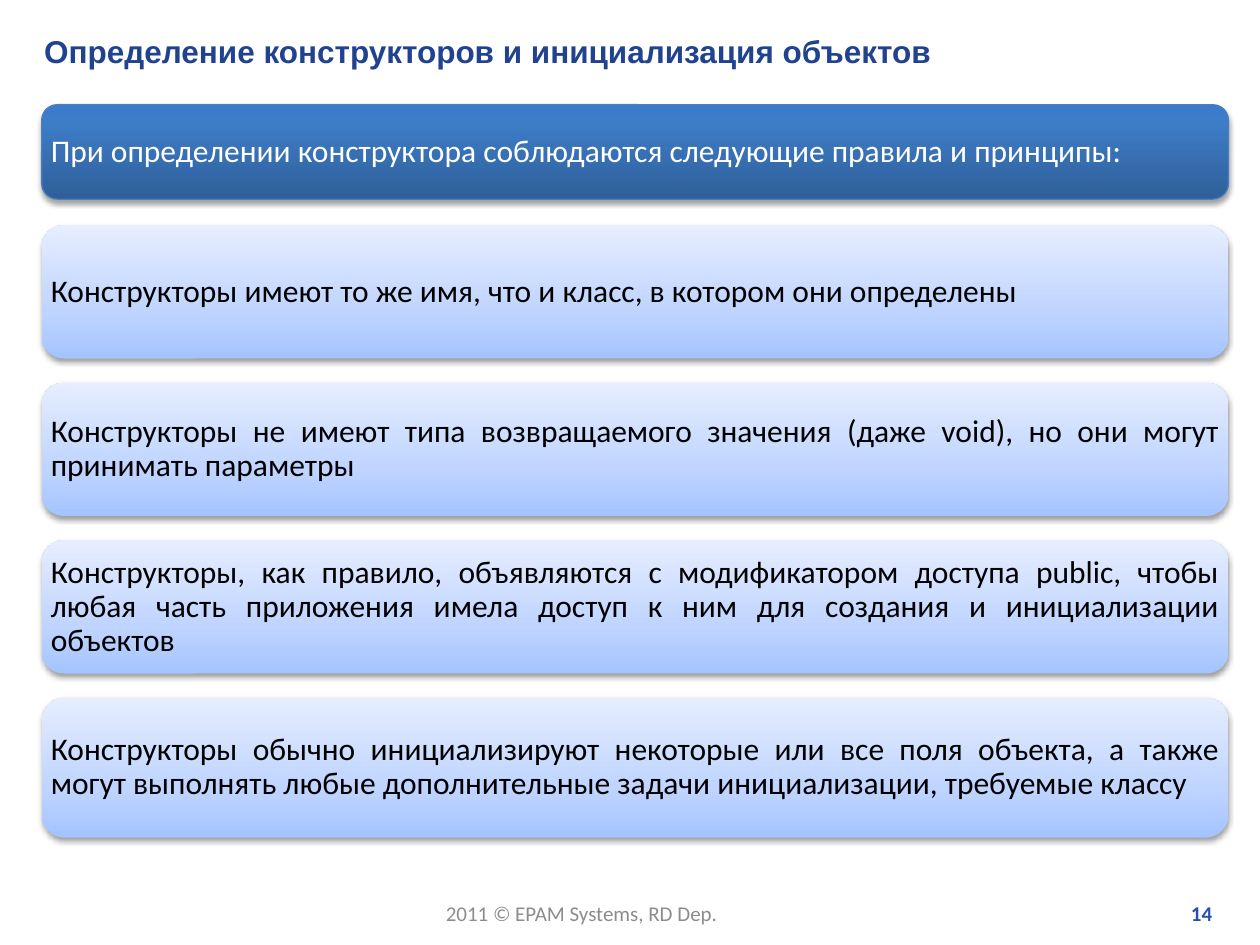
"""Build the slide listing the rules for defining constructors."""
from lxml import etree
from pptx import Presentation
from pptx.dml.color import RGBColor
from pptx.enum import shapes, text
from pptx.oxml.ns import qn
from pptx.util import Pt

NAVY = RGBColor(0x21, 0x43, 0x8F)
BLUE = RGBColor(0x27, 0x50, 0xAB)
EDGE = RGBColor(0x4B, 0x7E, 0xBC)
GRAY = RGBColor(0x8C, 0x8C, 0x8C)
WHITE = RGBColor(0xFF, 0xFF, 0xFF)
BLACK = RGBColor(0, 0, 0)
DARK_STOPS = [(0, RGBColor(0x2F, 0x5F, 0x99)), (80, RGBColor(0x3D, 0x7C, 0xC7)),
              (100, RGBColor(0x3A, 0x7C, 0xCB))]
LIGHT_STOPS = [(0, RGBColor(0xA4, 0xC4, 0xFF)), (35, RGBColor(0xBF, 0xD4, 0xFF)),
               (100, RGBColor(0xE6, 0xEE, 0xFF))]

TITLE = "Определение конструкторов и инициализация объектов"
HEADING = "При определении конструктора соблюдаются следующие правила и принципы:"
RULES = [
    "Конструкторы имеют то же имя, что и класс, в котором они определены",
    "Конструкторы не имеют типа возвращаемого значения (даже void), но они могут "
    "принимать параметры",
    "Конструкторы, как правило, объявляются с модификатором доступа public, чтобы "
    "любая часть приложения имела доступ к ним для создания и инициализации объектов",
    "Конструкторы обычно инициализируют некоторые или все поля объекта, а также "
    "могут выполнять любые дополнительные задачи инициализации, требуемые классу",
]
FOOTER = "2011 © EPAM Systems, RD Dep."
PAGE = "14"

LEFT, WIDTH = 23.8, 678.2
HEAD_TOP, HEAD_HEIGHT = 59.8, 54
RULE_TOP, RULE_PITCH, RULE_HEIGHT, LAST_HEIGHT = 128.7, 90, 76.2, 80
PADDING = 5.2
CORNER = 0.1667
CORNER_INSET = 0.29


def write(tf, content, align, **font):
    tf.text = content
    p = tf.paragraphs[0]
    p.alignment = align
    color = font.pop("color")
    for name, value in font.items():
        setattr(p.runs[0].font, name, value)
    p.runs[0].font.color.rgb = color
    return p


def add_child(parent, tag, **attrs):
    return etree.SubElement(parent, qn(tag), {k: str(v) for k, v in attrs.items()})


def paint(sp, stops, shadow_alpha, shadow_distance):
    sp.fill.gradient()
    sp.fill.gradient_angle = 90
    stop_list = sp.element.spPr.find(".//" + qn("a:gsLst"))
    for old in list(stop_list):
        stop_list.remove(old)
    for position, color in stops:
        gs = add_child(stop_list, "a:gs", pos=position * 1000)
        add_child(gs, "a:srgbClr", val=color)
    sp.shadow.inherit = False
    effects = sp.element.spPr.find(qn("a:effectLst"))
    shadow = add_child(effects, "a:outerShdw", blurRad=Pt(3.1), dist=Pt(shadow_distance),
                       dir=5400000, rotWithShape=0)
    color = add_child(shadow, "a:srgbClr", val=BLACK)
    add_child(color, "a:alpha", val=shadow_alpha * 1000)


def add_panel(s, content, top, height, color):
    sp = s.shapes.add_shape(shapes.MSO_SHAPE.ROUNDED_RECTANGLE,
                            Pt(LEFT), Pt(top), Pt(WIDTH), Pt(height))
    sp.adjustments[0] = CORNER
    tf = sp.text_frame
    inset = Pt(PADDING - height * CORNER * CORNER_INSET)
    for side in ("left", "right", "top", "bottom"):
        setattr(tf, f"margin_{side}", inset)
    tf.word_wrap = True
    tf.vertical_anchor = text.MSO_ANCHOR.MIDDLE
    p = write(tf, content, text.PP_ALIGN.JUSTIFY, name="Calibri", size=Pt(18), color=color)
    p.line_spacing = 0.9
    return sp


def add_label(s, content, left, width, align, wrap, **font):
    tf = s.shapes.add_textbox(Pt(left), Pt(511.2), Pt(width), Pt(21.6)).text_frame
    tf.word_wrap = wrap
    write(tf, content, align, name="Calibri", size=Pt(12), **font)


def main():
    prs = Presentation()
    prs.slide_width, prs.slide_height = Pt(720), Pt(540)
    s = prs.slides.add_slide(prs.slide_layouts[5])

    title = s.shapes.title
    box = {"left": 18, "top": 14.4, "width": 686.9, "height": 28.8}
    for name, value in box.items():
        setattr(title, name, Pt(value))
    title.text_frame.vertical_anchor = text.MSO_ANCHOR.MIDDLE
    write(title.text_frame, TITLE, text.PP_ALIGN.LEFT,
          name="Arial", size=Pt(18), bold=True, color=NAVY)

    head = add_panel(s, HEADING, HEAD_TOP, HEAD_HEIGHT, WHITE)
    head.line.color.rgb = EDGE
    head.line.width = Pt(0.75)
    paint(head, DARK_STOPS, 35, 1.8)

    for i, rule in enumerate(RULES):
        height = LAST_HEIGHT if i == len(RULES) - 1 else RULE_HEIGHT
        panel = add_panel(s, rule, RULE_TOP + i * RULE_PITCH, height, BLACK)
        panel.line.fill.background()
        paint(panel, LIGHT_STOPS, 38, 1.6)

    add_label(s, FOOTER, 247.7, 172, text.PP_ALIGN.LEFT, False, color=GRAY)
    add_label(s, PAGE, 547.2, 152.6, text.PP_ALIGN.RIGHT, True, color=BLUE, bold=True)
    prs.save("out.pptx")


if __name__ == "__main__":
    main()
